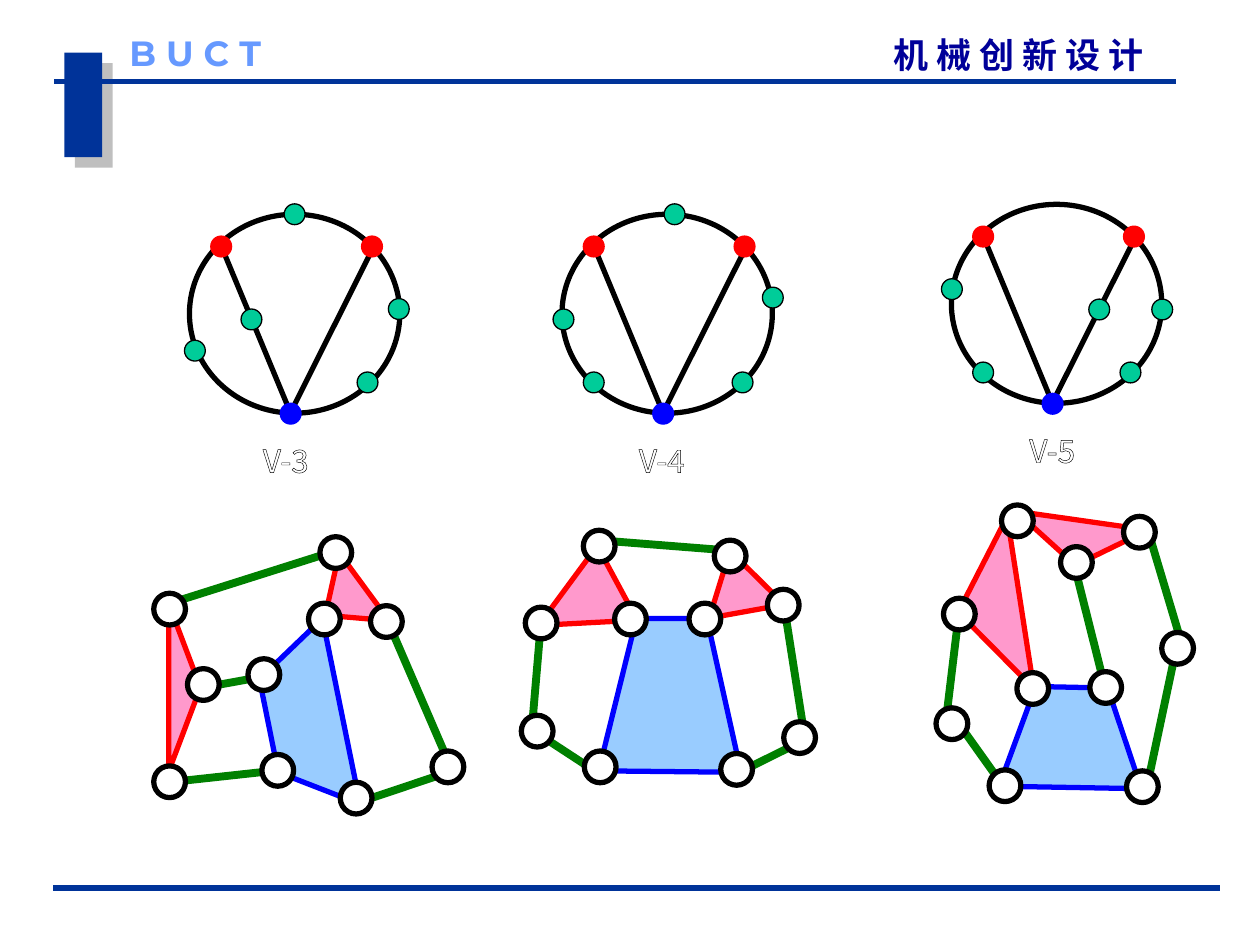
"""Build a slide of three V-type kinematic graphs and their linkages."""
from lxml import etree
from pptx import Presentation
from pptx import util as u
from pptx.dml.color import RGBColor
from pptx.enum import shapes, text
from pptx.oxml import ns

NAVY, BLACK, WHITE, RED, BLUE = "003399", "000000", "FFFFFF", "FF0000", "0000FF"
OVAL = shapes.MSO_SHAPE.OVAL
TRIANGLE = shapes.MSO_SHAPE.ISOSCELES_TRIANGLE


def paint(sp, fill, line=None, width=3):
    sp.shadow.inherit = False
    sp.fill.solid()
    sp.fill.fore_color.rgb = RGBColor.from_string(fill)
    if line:
        sp.line.color.rgb = RGBColor.from_string(line)
        sp.line.width = u.Pt(width)
    else:
        sp.line.fill.background()


def connect(x1, y1, x2, y2, color, width=3):
    cx = s.shapes.add_connector(shapes.MSO_CONNECTOR.STRAIGHT,
                                u.Cm(x1), u.Cm(y1), u.Cm(x2), u.Cm(y2))
    cx.line.color.rgb = RGBColor.from_string(color)
    cx.line.width = u.Pt(width)
    etree.SubElement(cx._element.spPr, ns.qn("a:effectLst"))


prs = Presentation()
prs.slide_width, prs.slide_height = u.Cm(25.4), u.Cm(19.05)
s = prs.slides.add_slide(prs.slide_layouts[6])

block = s.shapes.add_shape(shapes.MSO_SHAPE.RECTANGLE,
                           u.Cm(1.3), u.Cm(1.06), u.Cm(0.76), u.Cm(2.11))
paint(block, NAVY)
effects = block._element.spPr.find(ns.qn("a:effectLst"))
shadow = etree.SubElement(effects, ns.qn("a:outerShdw"), dist=str(u.Pt(8.5)),
                          dir="2700000", algn="ctr", rotWithShape="0")
tint = etree.SubElement(shadow, ns.qn("a:srgbClr"), val="808080")
etree.SubElement(tint, ns.qn("a:alpha"), val="50000")
connect(1.09, 1.65, 23.7, 1.65, NAVY)
connect(1.07, 17.9, 24.59, 17.9, NAVY)

headers = [
    ("机 械 创 新 设 计", 13.82, 0.67, 10.41, 4.19, "Noto Sans CJK SC", "000099"),
    ("B U C T", 2.61, 0.64, 3.61, 0, "Montserrat", "6699FF"),
]
for words, x, y, w, indent, face, color in headers:
    tf = s.shapes.add_textbox(u.Cm(x), u.Cm(y), u.Cm(w), u.Cm(0.84)).text_frame
    tf.word_wrap = True
    tf.margin_left = tf.margin_right = tf.margin_top = tf.margin_bottom = 0
    p = tf.paragraphs[0]
    p._p.get_or_add_pPr().set("marL", str(u.Cm(indent)))
    r = p.add_run()
    r.text = words
    r.font.size, r.font.bold, r.font.name = u.Pt(20), True, face
    r.font.color.rgb = RGBColor.from_string(color)
    etree.SubElement(r._r.get_or_add_rPr(), ns.qn("a:ea"), typeface=face)

graphs = [
    ("V-3", 3.82, 4.32, 1.48,
     [(2.12, 0), (3.59, 3.39), (4.22, 1.91), (1.25, 2.12), (0.11, 2.75)]),
    ("V-4", 11.33, 4.32, 1.55,
     [(2.27, 0), (3.64, 3.39), (4.25, 1.68), (0.64, 3.39), (0.03, 2.12)]),
    ("V-5", 19.18, 4.12, 1.57,
     [(0.01, 1.71), (3.61, 3.39), (4.25, 2.12), (2.98, 2.12), (0.64, 3.39)]),
]
dot = 0.42
for label, x, y, label_dx, greens in graphs:
    ring = s.shapes.add_shape(OVAL, u.Cm(x), u.Cm(y), u.Cm(4.24), u.Cm(4.01))
    paint(ring, WHITE, BLACK)
    connect(x + 0.64, y + 0.64, x + 2.06, y + 4.06, BLACK)
    connect(x + 3.72, y + 0.64, x + 2.03, y + 4.01, BLACK)
    dots = [(2.04, 4.02, BLUE, BLUE), (0.64, 0.65, RED, RED), (3.68, 0.65, RED, RED)]
    dots += [(dx, dy, "00CC99", BLACK) for dx, dy in greens]
    for dx, dy, fill, line in dots:
        sp = s.shapes.add_shape(OVAL, u.Cm(x + dx - dot / 2), u.Cm(y + dy - dot / 2),
                                u.Cm(dot), u.Cm(dot))
        paint(sp, fill, line, 0.75)
    tf = s.shapes.add_textbox(u.Cm(x + label_dx), u.Cm(y + 4.45),
                              u.Cm(1.1), u.Cm(0.64)).text_frame
    tf.word_wrap = False
    tf.margin_left = tf.margin_right = 0
    tf.vertical_anchor = text.MSO_ANCHOR.TOP
    r = tf.paragraphs[0].add_run()
    r.text = label
    r.font.size, r.font.name = u.Pt(18), "Noto Sans CJK SC"
    r.font.color.rgb = RGBColor.from_string(WHITE)
    outline = etree.Element(ns.qn("a:ln"), w=str(u.Pt(0.75)))
    ink = etree.SubElement(outline, ns.qn("a:solidFill"))
    etree.SubElement(ink, ns.qn("a:srgbClr"), val=BLACK)
    r._r.get_or_add_rPr().insert(0, outline)

linkages = [
    {"frame": [(6.5, 12.47), (5.23, 13.69), (5.61, 15.57), (7.26, 16.21)],
     "triangles": [(6.1, 11.63, 1.7, 0.97, 233.7), (2.03, 13.54, 3.38, 0.64, 90)],
     "bars": [(3.4, 12.17, 6.78, 11.1), (7.85, 12.6, 9.12, 15.54),
              (7.21, 16.18, 9.12, 15.54), (4.04, 13.87, 5.31, 13.64),
              (3.4, 15.77, 5.51, 15.54)],
     "joints": [(7.79, 12.53), (6.54, 12.48), (9.03, 15.46), (7.18, 16.09),
                (5.32, 13.6), (5.6, 15.53), (3.42, 15.76), (4.1, 13.8),
                (6.77, 11.14), (3.42, 12.28)]},
    {"frame": [(14.94, 15.57), (14.25, 12.47), (12.83, 12.47), (12.07, 15.54)],
     "triangles": [(14.45, 11.3, 1.42, 1.37, 107.2), (10.8, 11.28, 1.7, 1.8, 241.7)],
     "bars": [(16.23, 14.91, 14.96, 15.54), (12.19, 10.9, 14.73, 11.1),
              (10.72, 14.71, 11.99, 15.54), (10.92, 12.37, 10.72, 14.71),
              (15.8, 12.17, 16.23, 14.91)],
     "joints": [(10.91, 12.56), (14.21, 12.48), (12.71, 12.48), (14.72, 11.21),
                (12.08, 11.01), (14.85, 15.51), (12.1, 15.46), (15.79, 12.2),
                (10.83, 14.74), (16.12, 14.87)]},
    {"frame": [(23.01, 15.9), (22.33, 13.87), (20.88, 13.84), (20.14, 15.85)],
     "triangles": [(18.19, 11.61, 3.51, 1.27, 261.2), (20.4, 10.49, 2.69, 0.91, 188.1)],
     "bars": [(19.1, 14.27, 20.17, 15.77), (19.33, 12.37, 19.1, 14.27),
              (23.77, 12.8, 23.14, 15.77), (23.14, 10.69, 23.77, 12.8),
              (21.64, 11.33, 22.28, 13.87)],
     "joints": [(20.82, 13.88), (23.74, 13.07), (21.7, 11.34), (22.97, 10.73),
                (20.51, 10.5), (23.03, 15.86), (20.26, 15.84), (19.19, 14.59),
                (22.29, 13.86), (19.34, 12.38)]},
]
joint = 0.64
for linkage in linkages:
    corners = [(u.Cm(x), u.Cm(y)) for x, y in linkage["frame"]]
    fb = s.shapes.build_freeform(*corners[0])
    fb.add_line_segments(corners[1:], close=True)
    paint(fb.convert_to_shape(), "99CCFF", BLUE)
    for x, y, w, h, angle in linkage["triangles"]:
        sp = s.shapes.add_shape(TRIANGLE, u.Cm(x), u.Cm(y), u.Cm(w), u.Cm(h))
        sp.rotation = angle
        paint(sp, "FF99CC", RED)
    for bar in linkage["bars"]:
        connect(*bar, "008000", 4.5)
    for x, y in linkage["joints"]:
        sp = s.shapes.add_shape(OVAL, u.Cm(x - joint / 2), u.Cm(y - joint / 2),
                                u.Cm(joint), u.Cm(joint))
        paint(sp, WHITE, BLACK)

prs.save("out.pptx")
